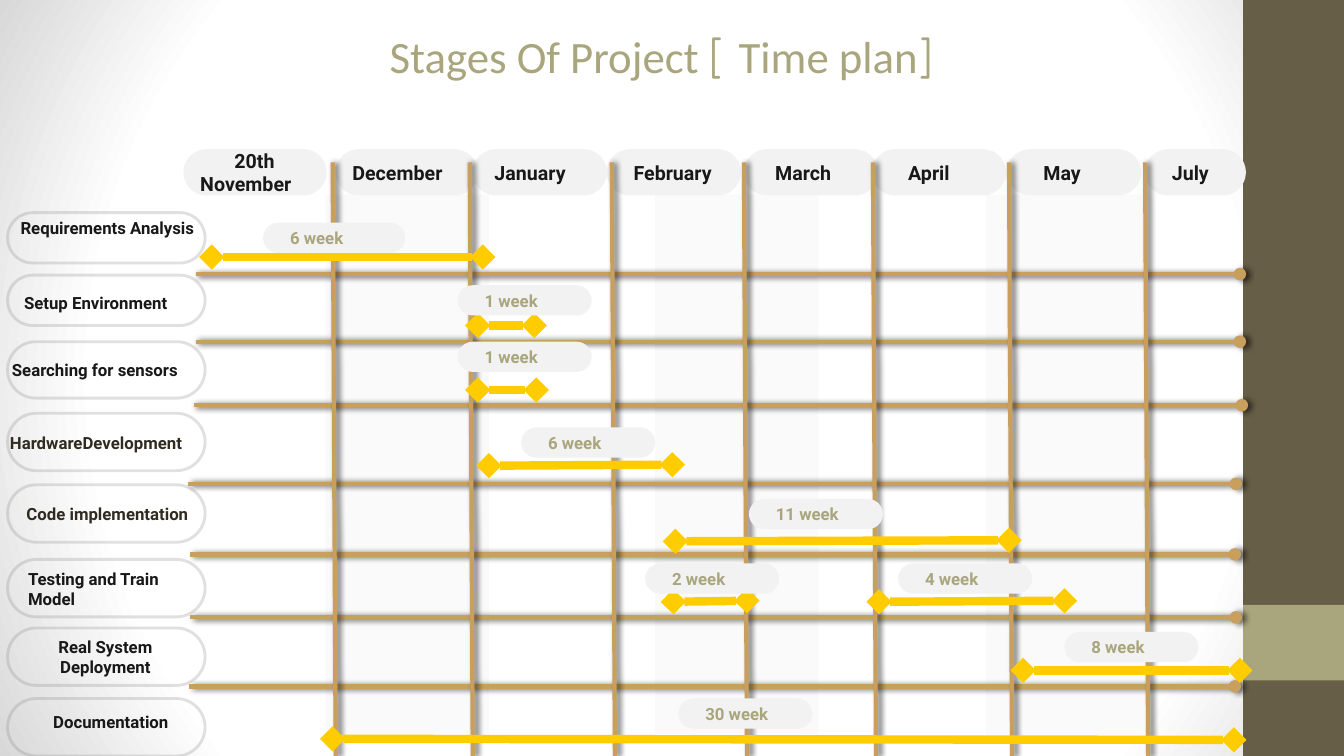
import dataclasses
import lxml.etree
import pptx
import pptx.dml.color
import pptx.enum.shapes
import pptx.enum.text
import pptx.oxml.ns
import pptx.util


@dataclasses.dataclass(frozen=True)
class Theme:
    olive: str = "A9A57C"
    brown: str = "675E47"
    pale: str = "F2F2F2"
    outline: str = "7F7F7F"
    tan: str = "C89F5D"
    gold: str = "FFCC00"
    ink: str = "181818"
    umber: str = "2F2B20"
    font: str = "Roboto"
    title_size: int = 32
    month_size: int = 14
    label_size: int = 12
    grid_width: int = 3
    bar_width: int = 6


theme = Theme()
qn = pptx.oxml.ns.qn
rgb = pptx.dml.color.RGBColor.from_string
shapes = pptx.enum.shapes.MSO_SHAPE
align = pptx.enum.text.PP_ALIGN
anchor = pptx.enum.text.MSO_ANCHOR
auto_size = pptx.enum.text.MSO_AUTO_SIZE

# The page is a grid of 0.1 inch cells; every length below counts cells
CELL = pptx.util.Inches(0.1)
COLUMNS, ROWS = 133.33, 75

deck = pptx.Presentation()
deck.slide_width, deck.slide_height = int(COLUMNS * CELL), int(ROWS * CELL)
page = deck.slides.add_slide(deck.slide_layouts[5])


def add_box(kind, at, fill=None, text="", size=theme.label_size,
            color=theme.ink, indent=0, centred=False):
    """Add a preset shape, or a text box when kind is None."""
    place = [int(value * CELL) for value in at]
    if kind is None:
        box = page.shapes.add_textbox(*place)
        box.text_frame.auto_size = auto_size.SHAPE_TO_FIT_TEXT
    else:
        box = page.shapes.add_shape(kind, *place)
        box.shadow.inherit = False
        box.line.fill.background()
        box.text_frame.vertical_anchor = anchor.MIDDLE
        if kind == shapes.ROUNDED_RECTANGLE:
            box.adjustments[0] = 0.5
    if fill:
        box.fill.solid()
        box.fill.fore_color.rgb = rgb(fill)
    else:
        box.fill.background()
    if text:
        box.text_frame.word_wrap = True
        para = box.text_frame.paragraphs[0]
        para.alignment = align.CENTER if centred else align.LEFT
        para._p.get_or_add_pPr().set("indent", str(int(indent * CELL)))
        span = para.add_run()
        span.text = text
        span.font.name, span.font.bold = theme.font, True
        span.font.size = pptx.util.Pt(size)
        span.font.color.rgb = rgb(color)
    return box


def add_line(start, end, color, width, head=None, tail=None, shadow=False):
    """Add a straight line with optional end marks and a soft shadow."""
    line = page.shapes.add_connector(
        pptx.enum.shapes.MSO_CONNECTOR.STRAIGHT,
        *[int(value * CELL) for value in (*start, *end)])
    line.line.color.rgb = rgb(color)
    line.line.width = pptx.util.Pt(width)
    stroke = line.line._get_or_add_ln()
    for tag, mark in (("a:headEnd", head), ("a:tailEnd", tail)):
        if mark:
            lxml.etree.SubElement(stroke, qn(tag), type=mark)
    effects = lxml.etree.SubElement(line._element.spPr, qn("a:effectLst"))
    if shadow:
        blur = lxml.etree.SubElement(
            effects, qn("a:outerShdw"), blurRad=str(pptx.util.Pt(4)),
            dist=str(pptx.util.Pt(2)), dir="0", algn="l", rotWithShape="0")
        black = lxml.etree.SubElement(blur, qn("a:srgbClr"), val="000000")
        lxml.etree.SubElement(black, qn("a:alpha"), val="60000")


# Background: white centre fading to grey corners
page.background.fill.gradient()
gradient = page._element.find(".//" + qn("a:gradFill"))
gradient.clear()
stops = lxml.etree.SubElement(gradient, qn("a:gsLst"))
for share, color in ((0, "FFFFFF"), (75, "FFFFFF"), (100, "D8D8D8")):
    stop = lxml.etree.SubElement(stops, qn("a:gs"), pos=str(share * 1000))
    lxml.etree.SubElement(stop, qn("a:srgbClr"), val=color)
circle = lxml.etree.SubElement(gradient, qn("a:path"), path="circle")
lxml.etree.SubElement(circle, qn("a:fillToRect"),
                      {side: "50000" for side in "ltrb"})

# Side band
add_box(shapes.RECTANGLE, (123.33, 0, 10, ROWS), theme.brown)
add_box(shapes.RECTANGLE, (123.33, 60, 10, 7.5), theme.olive)

# Title
title = page.shapes.title
title.left, title.top = int(-1.1 * CELL), int(2.3 * CELL)
title.width, title.height = deck.slide_width, int(6.4 * CELL)
title.text_frame.word_wrap = True
title.text_frame.auto_size = auto_size.NONE
title.text_frame.vertical_anchor = anchor.TOP
para = title.text_frame.paragraphs[0]
para.alignment = align.CENTER
for words, font in (("Stages Of Project ", "Calibri"), ("[ ", "Comic Neue"),
                    ("Time plan", "Calibri"), ("]", "Comic Neue")):
    span = para.add_run()
    span.text = words
    span.font.name = font
    span.font.size = pptx.util.Pt(theme.title_size)
    span.font.color.rgb = rgb(theme.olive)

# Shaded month columns
faded = []
for left in (32.3, 65, 97.8):
    band = add_box(shapes.RECTANGLE, (left, 19.3, 16.2, 53.8), theme.pale)
    faded.append((band, 36))

# Stages: label, pill top and height, label left, top and width, centred, ink
stages = (
    ("Requirements Analysis", 21.1, 5, 0.7, 21.1, 19.9, True, theme.ink),
    ("Setup Environment", 27.3, 5, 1.4, 28.6, 19.2, False, theme.ink),
    ("Searching for sensors", 33.9, 5.6, 0.2, 35.2, 21.4, False, theme.ink),
    ("HardwareDevelopment", 41, 5.7, 0, 42.4, 22.8, False, theme.umber),
    ("Code implementation", 48.1, 5.7, -1.3, 49.5, 23.9, True, theme.umber),
    ("Testing and Train Model", 55.5, 5.7, 1.8, 55.9, 18.4, False, theme.ink),
    ("Real System Deployment", 62.3, 5.7, 0.4, 62.7, 20.1, True, theme.ink),
    ("Documentation", 69.3, 5.7, 1.7, 70.1, 18.6, True, theme.ink),
)
for name, top, height, left, label_top, width, centred, color in stages:
    pill = add_box(shapes.ROUNDED_RECTANGLE, (0.75, top, 19.6, height))
    pill.line.color.rgb = rgb(theme.outline)
    pill.line.width = pptx.util.Pt(2)
    faded.append((pill, 24))
    add_box(None, (left, label_top, width, 3), text=name,
            color=color, centred=centred)

# Transparency of the bands and pill outlines
for box, percent in faded:
    tint = box._element.spPr.find(".//" + qn("a:srgbClr"))
    lxml.etree.SubElement(tint, qn("a:alpha"), val=str(percent * 1000))

# Row rules: left, right, height on the page
for left, right, y in ((19.4, 123, 27.2), (19.4, 123, 33.9),
                       (19.2, 123.2, 40.2), (18.7, 122.6, 48),
                       (18.9, 122.5, 55), (18.9, 122.6, 61.25),
                       (18.8, 122.5, 68.1)):
    add_line((left, y), (right, y), theme.tan, theme.grid_width,
             tail="oval", shadow=True)

# Month headings: left, width, first-line indent
for month, left, width, indent in (
        ("20th November", 18.2, 14.2, 3.4), ("December", 33.3, 14.1, 0),
        ("January", 46.9, 13.3, 0.5), ("February", 60.2, 13.3, 1),
        ("March", 73.8, 13.3, 1.45), ("April", 86.5, 13.3, 1.95),
        ("May", 99.9, 13.3, 1.95), ("July", 113.6, 10, 1)):
    add_box(shapes.ROUNDED_RECTANGLE, (left, 14.8, width, 4.6), theme.pale,
            month, theme.month_size, indent=indent)

# Month rules lean slightly to the right
for x in (33, 46.6, 60.7, 73.8, 86.6, 100.1, 113.6):
    add_line((x, 16.1), (x + 0.3, ROWS), theme.tan, theme.grid_width,
             shadow=True)

# Bars and durations: bar from, to, start and end height; pill left, top, width
for weeks, start, end, y, end_y, left, top, width in (
        (6, 21, 47.9, 25.5, 25.5, 26.1, 22.1, 14.1),
        (1, 47.4, 53, 32.3, 32.3, 45.4, 28.3, 13.3),
        (1, 47.4, 53.2, 38.7, 38.7, 45.4, 33.9, 13.3),
        (6, 48.5, 66.7, 46.2, 46.1, 51.7, 42.4, 13.3),
        (11, 67, 100.1, 53.7, 53.6, 74.3, 49.5, 13.3),
        (2, 66.8, 74.1, 59.7, 59.6, 64, 55.9, 13.3),
        (4, 87.2, 105.6, 59.7, 59.6, 89.1, 55.9, 13.3),
        (8, 101.5, 123, 66.5, 66.5, 105.6, 62.7, 13.3),
        (30, 33, 122.4, 73.3, 73.4, 67.3, 69.3, 13.3)):
    add_line((start, y), (end, end_y), theme.gold, theme.bar_width,
             head="diamond", tail="diamond")
    add_box(shapes.ROUNDED_RECTANGLE, (left, top, width, 3), theme.pale,
            f"{weeks} week", color=theme.olive, indent=1.25)

deck.save("out.pptx")
